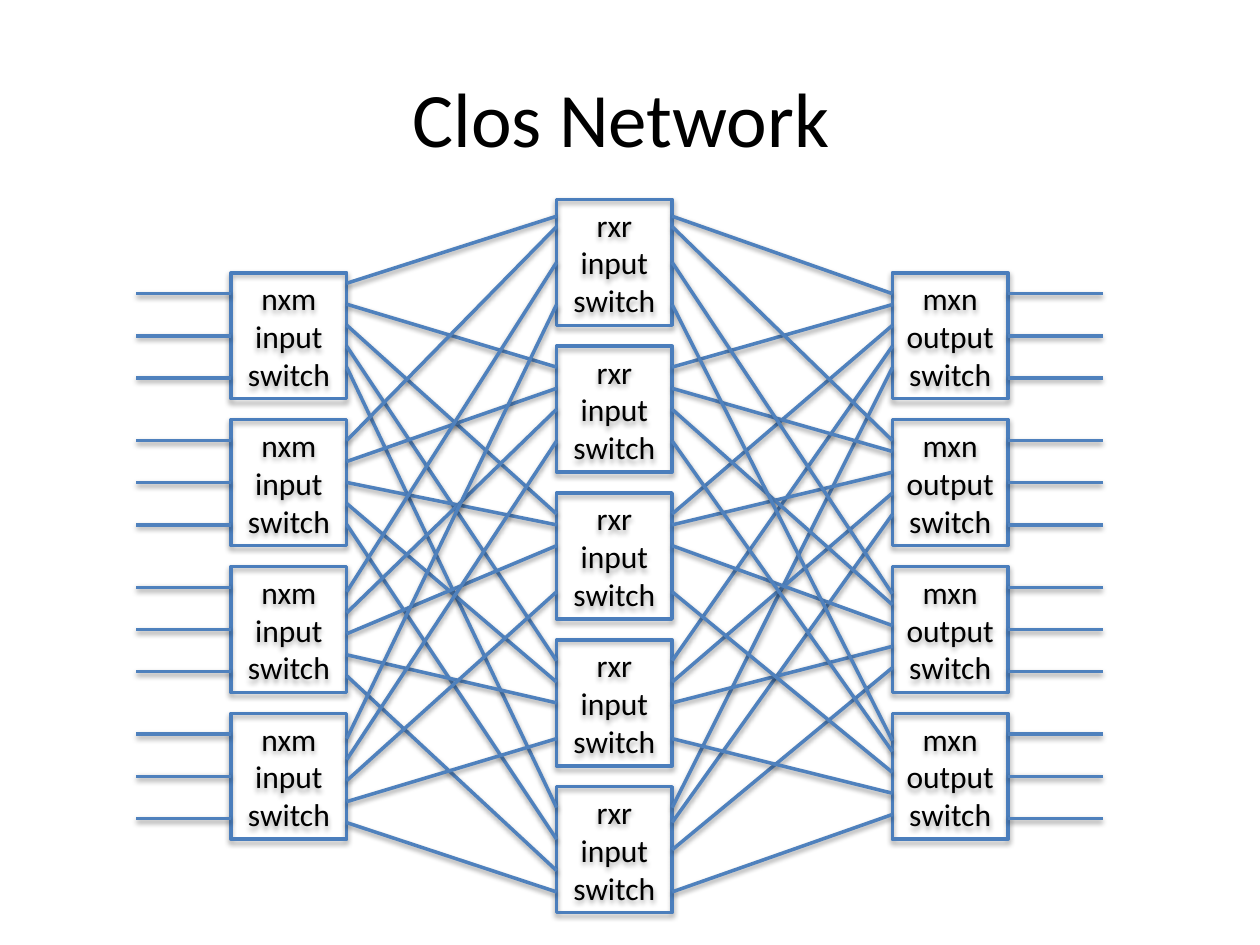
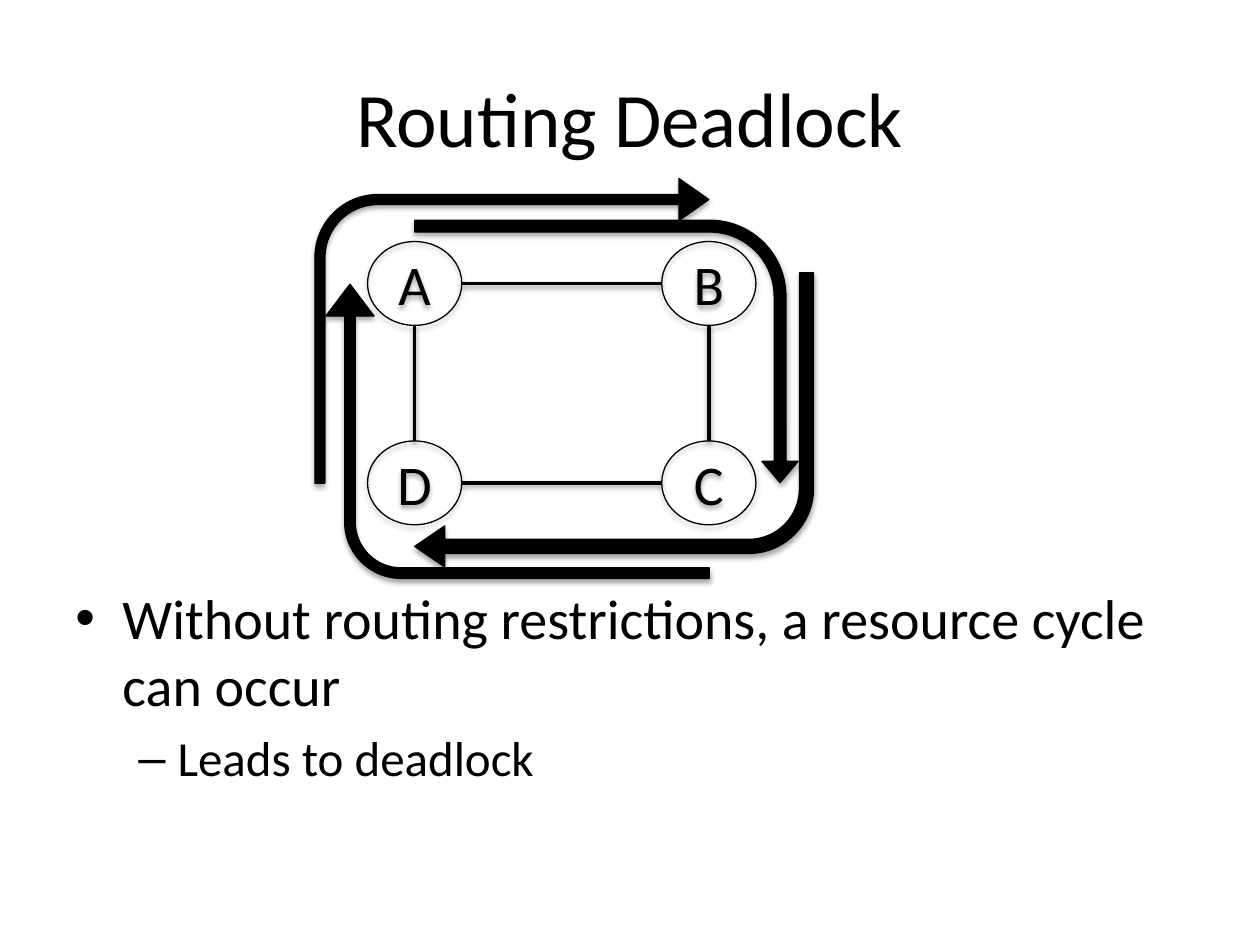
"""Build two slides on interconnection networks: a Clos network and a routing deadlock."""
import pptx
import pptx.dml.color
import pptx.enum.shapes
import pptx.enum.text
import pptx.oxml
import pptx.oxml.ns
import pptx.util

Cm = pptx.util.Cm
Pt = pptx.util.Pt
PRESET = pptx.enum.shapes.MSO_SHAPE
MIDDLE = pptx.enum.text.MSO_ANCHOR.MIDDLE
CENTER = pptx.enum.text.PP_ALIGN.CENTER
BLACK = pptx.dml.color.RGBColor(0x00, 0x00, 0x00)
SWITCH_BLUE = pptx.dml.color.RGBColor(0x4B, 0x7E, 0xBC)
WIRE_BLUE = pptx.dml.color.RGBColor(0x4F, 0x81, 0xBD)

TITLE_FONT = {"name": "Calibri", "size": Pt(44)}
SWITCH_FONT = {"name": "Calibri", "size": Pt(18)}
NODE_FONT = {"name": "Calibri", "size": Pt(32)}
POINT_FONT = {"name": "Calibri", "size": Pt(32)}
SUBPOINT_FONT = {"name": "Calibri", "size": Pt(28)}


def outline(item, color, width, distance, opacity):
    """Give a shape or connector its line and soft drop shadow."""
    item.line.color.rgb = color
    item.line.width = Pt(width)
    item._element.spPr.append(pptx.oxml.parse_xml(
        f'<a:effectLst {pptx.oxml.ns.nsdecls("a")}>'
        f'<a:outerShdw blurRad="{Pt(3.1)}" dist="{Pt(distance)}" dir="5400000" rotWithShape="0">'
        f'<a:srgbClr val="000000"><a:alpha val="{opacity * 1000}"/></a:srgbClr>'
        '</a:outerShdw></a:effectLst>'))


def write(paragraph, text, font_format, alignment=None):
    """Put one formatted run of black text into a paragraph."""
    run = paragraph.add_run()
    run.text = text
    run.font.color.rgb = BLACK
    for attribute, value in font_format.items():
        setattr(run.font, attribute, value)
    paragraph.alignment = alignment


deck = pptx.Presentation()
deck.slide_width, deck.slide_height = Cm(25.4), Cm(19.05)
clos, deadlock = [deck.slides.add_slide(deck.slide_layouts[6]) for _ in range(2)]
for slide, heading in ((clos, "Clos Network "), (deadlock, "Routing Deadlock")):
    title = slide.shapes.add_textbox(Cm(1.27), Cm(0.76), Cm(22.86), Cm(3.18)).text_frame
    title.word_wrap = True
    title.vertical_anchor = MIDDLE
    write(title.paragraphs[0], heading, TITLE_FONT, CENTER)

switch_width, switch_height, switch_pitch = 2.33, 2.54, 2.96
outer_top, middle_top = 5.5, 4.02
input_left, middle_left, output_left = 4.66, 11.22, 17.99
input_right, middle_right, output_right = [
    left + switch_width for left in (input_left, middle_left, output_left)]
stages = [
    ("nxm input switch", input_left, outer_top, 4),
    ("rxr input switch", middle_left, middle_top, 5),
    ("mxn output switch", output_left, outer_top, 4),
]
blocks = [
    (clos, PRESET.RECTANGLE, label, left, top + row * switch_pitch,
     switch_width, switch_height, SWITCH_FONT, SWITCH_BLUE, 2)
    for label, left, top, count in stages for row in range(count)
]

node_width, node_height = 1.9, 1.69
node_columns, node_rows = (7.41, 13.34), (4.87, 8.89)
for letter, column, row in (("A", 0, 0), ("B", 1, 0), ("D", 0, 1), ("C", 1, 1)):
    blocks.append((deadlock, PRESET.OVAL, letter, node_columns[column], node_rows[row],
                   node_width, node_height, NODE_FONT, BLACK, 0.75))

for slide, preset, label, left, top, width, height, font, color, weight in blocks:
    block = slide.shapes.add_shape(preset, Cm(left), Cm(top), Cm(width), Cm(height))
    block.fill.background()
    outline(block, color, weight, 1.8, 35)
    block.text_frame.vertical_anchor = MIDDLE
    write(block.text_frame.paragraphs[0], label, font, CENTER)

middle_ports_in = [
    (0.34, 0.42, 0.42, 0.42, 0.42),
    (0.55, 0.85, 0.64, 0.85, 1.06),
    (1.27, 1.27, 1.06, 1.27, 1.69),
    (2.12, 1.91, 1.99, 1.99, 2.12),
]
last_middle_ports_out = (0.42, 0.72, 1.27, 2.12)
input_first_ports = (0.21, 0.42, 0.51, 0.51)
output_ports = (0.42, 0.64, 1.06, 1.48, 1.91)
output_shifts = (0, 0, 0.13, 0.13)
terminal_ports = (0.42, 1.27, 2.12)
terminal_length = 1.91

wires = []
for row, ports_in in enumerate(middle_ports_in):
    outer_y = outer_top + row * switch_pitch
    ports_out = ports_in[:-1] + (last_middle_ports_out[row],)
    for middle in range(5):
        middle_y = middle_top + middle * switch_pitch
        input_y = outer_y + input_first_ports[row] + middle * switch_height / 6
        output_y = outer_y + output_ports[middle] + output_shifts[row]
        wires += [
            (clos, input_right, input_y, middle_left, middle_y + ports_in[middle], WIRE_BLUE),
            (clos, middle_right, middle_y + ports_out[middle], output_left, output_y, WIRE_BLUE),
        ]
    for port in terminal_ports:
        for edge, end in ((input_left, input_left - terminal_length),
                          (output_right, output_right + terminal_length)):
            wires.append((clos, edge, outer_y + port, end, outer_y + port, WIRE_BLUE))

for row in node_rows:
    y = row + node_height / 2
    wires.append((deadlock, node_columns[0] + node_width, y, node_columns[1], y, BLACK))
for column in node_columns:
    x = column + node_width / 2
    wires.append((deadlock, x, node_rows[0] + node_height, x, node_rows[1], BLACK))

for slide, start_x, start_y, end_x, end_y, color in wires:
    wire = slide.shapes.add_connector(
        pptx.enum.shapes.MSO_CONNECTOR.STRAIGHT,
        Cm(start_x), Cm(start_y), Cm(end_x), Cm(end_y))
    outline(wire, color, 2, 1.6, 38)

routes = [
    (7.47, 4.83, 5.93, 7.73, 270, (0.036, 0.082, 0.108, 0.192)),
    (6.35, 3.6, 7.94, 6.14, 0, (0.033, 0.069, 0.098, 0.207)),
    (9.58, 3.22, 5.29, 7.73, 90, (0.045, 0.069, 0.081, 0.29)),
    (8.36, 5.5, 8.04, 5.93, 180, (0.048, 0.07, 0.102, 0.221)),
]
for left, top, width, height, rotation, bends in routes:
    route = deadlock.shapes.add_shape(
        PRESET.BENT_ARROW, Cm(left), Cm(top), Cm(width), Cm(height))
    route.rotation = rotation
    for index, bend in enumerate(bends):
        route.adjustments[index] = bend
    route.fill.solid()
    route.fill.fore_color.rgb = BLACK
    outline(route, BLACK, 0.75, 1.8, 35)

points = deadlock.shapes.add_textbox(Cm(1.27), Cm(11.64), Cm(22.86), Cm(5.38)).text_frame
points.word_wrap = True
point, subpoint = points.paragraphs[0], points.add_paragraph()
subpoint.level = 1
for paragraph, text, font, bullet, margin, hanging in (
    (point, "Without routing restrictions, a resource cycle can occur", POINT_FONT, "•", 0.95, 0.95),
    (subpoint, "Leads to deadlock", SUBPOINT_FONT, "–", 2.06, 0.79),
):
    write(paragraph, text, font)
    paragraph.space_before = Pt(font["size"].pt * 0.2)
    properties = paragraph._p.get_or_add_pPr()
    properties.set("marL", str(Cm(margin)))
    properties.set("indent", str(-Cm(hanging)))
    for tag in ('buFont typeface="Arial"', f'buChar char="{bullet}"'):
        name, setting = tag.split(" ")
        properties.append(pptx.oxml.parse_xml(
            f'<a:{name} {pptx.oxml.ns.nsdecls("a")} {setting}/>'))

deck.save("out.pptx")
